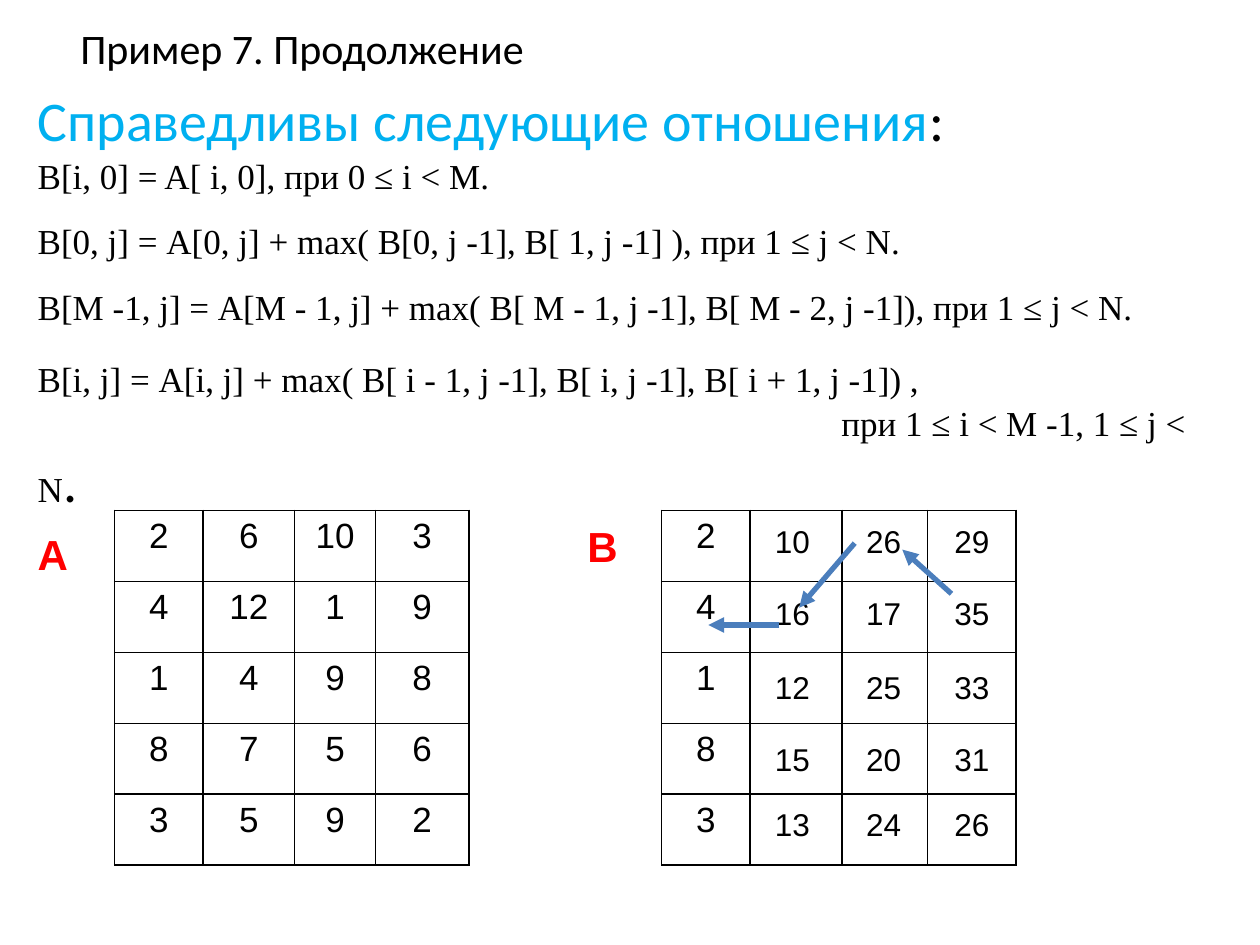
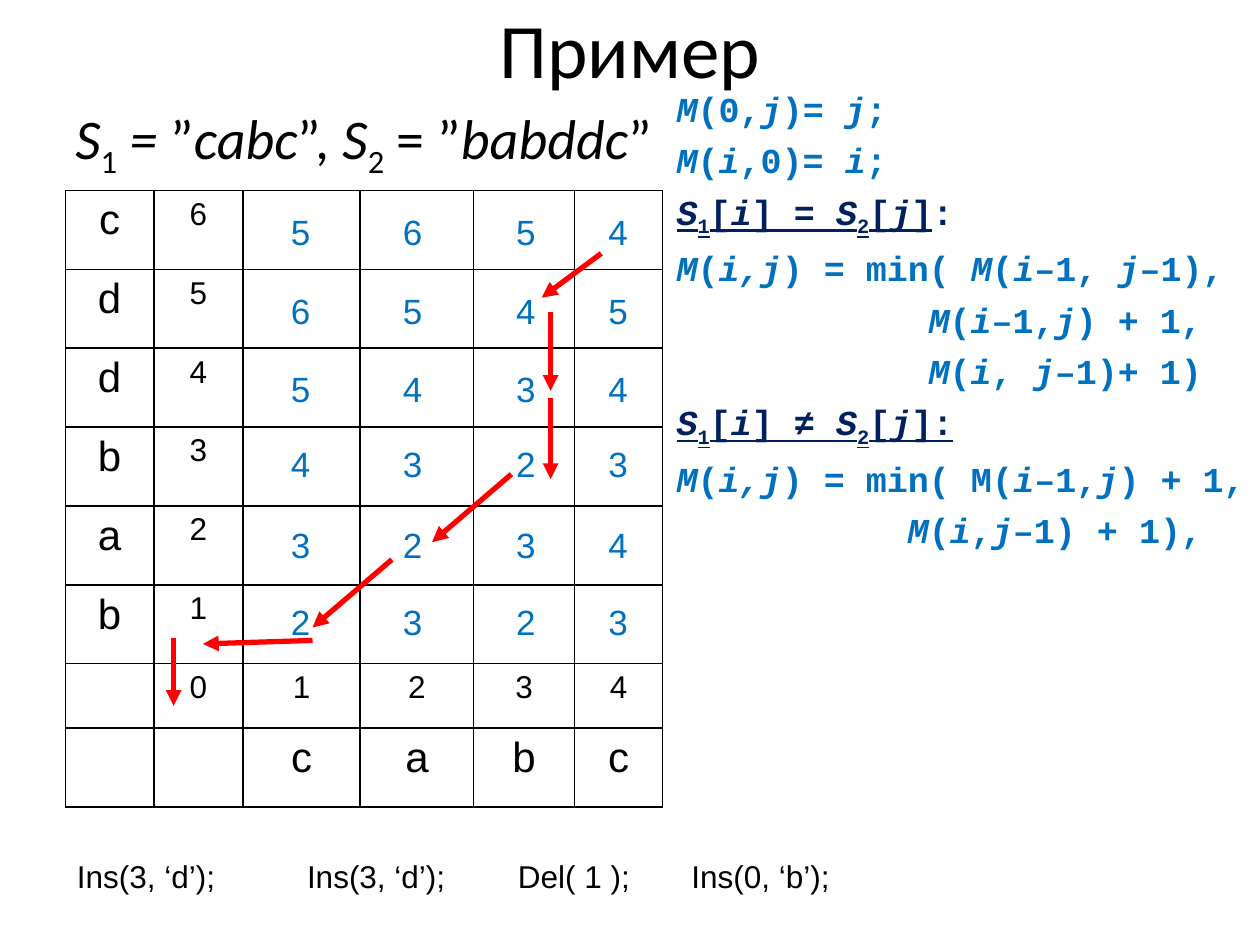
from itertools import groupby

from lxml.etree import SubElement
from pptx import Presentation
from pptx.dml.color import RGBColor
from pptx.enum.shapes import MSO_CONNECTOR
from pptx.enum.text import MSO_ANCHOR, PP_ALIGN
from pptx.oxml.ns import qn
from pptx.util import Cm, Pt

BLACK, RED, BLUE = "000000", "FF0000", "0070C0"
SKY, NAVY, STEEL = "00B0F0", "002060", "4B7EBC"
SANS, HEADING, SERIF, MONO = "Arial", "Calibri", "Times New Roman", "Courier New"
BODY_SPACING = 1.05

RELATIONS = [
    "B[i, 0] = A[ i, 0], при 0 ≤ i < M.",
    "B[0, j] = А[0, j] + max( B[0, j -1], B[ 1, j -1] ), при 1 ≤ j < N.",
    "B[M -1, j] = А[М - 1, j] + max( B[ М - 1, j -1], B[ М - 2, j -1]), при 1 ≤ j < N.",
]
GENERAL_RELATION = "B[i, j] = А[i, j] + max( B[ i - 1, j -1], B[ i, j -1], B[ i + 1, j -1]) ,"
GENERAL_RANGE = "при 1 ≤ i < M -1, 1 ≤ j < N"

MATRIX_A = ["2 6 10 3", "4 12 1 9", "1 4 9 8", "8 7 5 6", "3 5 9 2"]
MATRIX_B_START = "24183"
MATRIX_B = ["10 26 29", "16 17 35", "12 25 33", "15 20 31", "13 24 26"]
PATH_B = [
    (5.84, 1.68, 4.85, 0.79),
    (3.89, 0.66, 2.77, 1.96),
    (2.36, 2.31, 0.94, 2.31),
]

FORMULAS = [
    ("*M*(0,*j*)= *j*;", BLUE, 0),
    ("*M*(*i*,0)= *i*;", BLUE, 0),
    ("_*S*~1~[*i*] = *S*~2~[*j*]_:", NAVY, 0),
    ("*M*(*i,j*) = min( *M*(*i*–1, *j*–1),", BLUE, 0),
    ("*M*(*i*–1,*j*) + 1,", BLUE, 5.08),
    ("*M*(*i*, *j*–1)+ 1)", BLUE, 5.08),
    ("_*S*~1~[*i*] ≠ *S*~2~[*j*]:_", NAVY, 0),
    ("*M*(*i,j*) = min( M(*i*–1,*j*) + 1,", BLUE, 0),
    ("*M*(*i*,*j*–1) + 1),", BLUE, 4.66),
]
DISTANCES = ["5654", "6545", "5434", "4323", "3234", "2323"]
PATH_DISTANCE = [
    (10.8, 1.27, 9.6, 2.16),
    (9.78, 2.44, 9.78, 4.04),
    (9.78, 4.19, 9.78, 5.82),
    (8.99, 5.72, 7.39, 7.09),
    (6.58, 7.44, 4.98, 8.81),
    (4.98, 9.07, 2.77, 9.14),
    (2.18, 9.02, 2.18, 10.39),
]
EDITS = [
    (1.3, "Ins(3, ‘d’);"),
    (5.94, "Ins(3, ‘d’);"),
    (10.19, "Del( 1 );"),
    (13.69, "Ins(0, ‘b’);"),
]


def rgb(value):
    """Turn a hex string into a colour."""
    return RGBColor.from_string(value)


def write(p, text, font, size, color=BLACK, bold=False):
    """Add runs to a paragraph, where * ~ _ toggle italic, subscript, underline."""
    on = dict.fromkeys("*~_", False)
    for mark, chars in groupby(text, lambda c: c if c in on else ""):
        if mark:
            on[mark] = not on[mark]
            continue
        r = p.add_run()
        r.text = "".join(chars)
        r.font.name, r.font.size, r.font.bold = font, Pt(size), bold
        r.font.color.rgb = rgb(color)
        r.font.italic, r.font.underline = on["*"], on["_"]
        if on["~"]:
            r.font.element.set("baseline", "-25000") if hasattr(r.font, "element") else \
                r._r.get_or_add_rPr().set("baseline", "-25000")


def add_frame(s, x, y, w, h):
    """Add an empty wrapping text box and return its text frame."""
    tf = s.shapes.add_textbox(Cm(x), Cm(y), Cm(w), Cm(h)).text_frame
    tf.word_wrap = True
    return tf


def add_label(s, x, y, w, h, text, size, color=BLACK, bold=False, align=PP_ALIGN.LEFT):
    """Add a one-line Arial label."""
    p = add_frame(s, x, y, w, h).paragraphs[0]
    p.alignment = align
    write(p, text, SANS, size, color, bold)


def add_title(s, x, text, size, align):
    """Add the slide title in the shared band."""
    tf = add_frame(s, x, 0.33, 22.86, 1.27)
    tf.vertical_anchor = MSO_ANCHOR.MIDDLE
    tf.paragraphs[0].alignment = align
    write(tf.paragraphs[0], text, HEADING, size)


def add_body_paragraph(tf, before=0, after=0, margin=0, indent=0):
    """Add a paragraph with the shared line spacing and the given gaps."""
    p = tf.paragraphs[0] if not tf.paragraphs[0].runs else tf.add_paragraph()
    p.line_spacing = BODY_SPACING
    p.space_before, p.space_after = Pt(before), Pt(after)
    pPr = p._p.get_or_add_pPr()
    pPr.set("marL", str(Cm(margin)))
    pPr.set("indent", str(Cm(indent)))
    return p


def border_cell(cell):
    """Give a cell thin black borders and no fill."""
    tcPr = cell._tc.get_or_add_tcPr()
    for side in ("lnL", "lnR", "lnT", "lnB"):
        ln = SubElement(tcPr, qn(f"a:{side}"), w=str(Pt(1)))
        SubElement(SubElement(ln, qn("a:solidFill")), qn("a:srgbClr"), val=BLACK)
    cell.fill.background()


def add_grid(s, x, y, widths, heights, rows, size, letter_size=None):
    """Add a bordered table with centred entries."""
    tbl = s.shapes.add_table(len(heights), len(widths), Cm(x), Cm(y),
                             Cm(sum(widths)), Cm(sum(heights))).table
    tbl.first_row = tbl.horz_banding = False
    for col, width in zip(tbl.columns, widths):
        col.width = Cm(width)
    for row, height in zip(tbl.rows, heights):
        row.height = Cm(height)
    for cell in tbl.iter_cells():
        border_cell(cell)
    for i, row in enumerate(rows):
        for j, text in enumerate(row):
            if text:
                p = tbl.cell(i, j).text_frame.paragraphs[0]
                p.alignment = PP_ALIGN.CENTER
                write(p, text, SANS, letter_size if text.isalpha() else size)


def add_values(s, x, y, lefts, tops, rows, w, h, size, color, align):
    """Lay computed values over a table whose corner is at x, y."""
    for top, row in zip(tops, rows):
        for left, text in zip(lefts, row):
            add_label(s, x + left, y + top, w, h, text, size, color, align=align)


def add_path(s, x, y, steps, color):
    """Draw the arrows of a path relative to the corner x, y."""
    for x1, y1, x2, y2 in steps:
        sp = s.shapes.add_connector(MSO_CONNECTOR.STRAIGHT, Cm(x + x1), Cm(y + y1),
                                    Cm(x + x2), Cm(y + y2))
        sp.line.color.rgb = rgb(color)
        sp.line.width = Pt(3)
        spPr = sp.element.spPr
        SubElement(spPr.find(qn("a:ln")), qn("a:tailEnd"), type="triangle")
        SubElement(spPr, qn("a:effectLst"))


def add_relations(s, x, y, w, h):
    """Write the recurrence relations."""
    tf = add_frame(s, x, y, w, h)
    p = add_body_paragraph(tf, before=1.5)
    p.line_spacing = 1.0
    write(p, "Справедливы следующие отношения", HEADING, 32, SKY)
    write(p, ":", HEADING, 32)
    for text in RELATIONS:
        write(add_body_paragraph(tf, after=12), text, SERIF, 20)
    write(add_body_paragraph(tf, before=4), GENERAL_RELATION, SERIF, 20)
    p = add_body_paragraph(tf, indent=16.2)
    write(p, GENERAL_RANGE, SERIF, 20)
    write(p, ".", HEADING, 32)


def add_matrix_a(s, x, y):
    """Place the given matrix and its name."""
    add_grid(s, x, y, [1.78, 1.85, 1.63, 1.88], [1.43] * 5,
             [row.split() for row in MATRIX_A], 20)
    add_label(s, x - 1.8, y + 0.23, 1.19, 1.27, "A", 24, RED, bold=True)


def add_matrix_b(s, x, y):
    """Place the computed matrix, its name and the best path."""
    add_grid(s, x, y, [1.78, 1.85, 1.73, 1.78], [1.43] * 5, MATRIX_B_START, 20)
    add_label(s, x - 1.75, y + 0.08, 1.19, 1.27, "B", 24, RED, bold=True)
    add_values(s, x, y, [2.03, 3.87, 5.65], [0.1, 1.57, 3.05, 4.5, 5.82],
               [row.split() for row in MATRIX_B], 1.4, 1.02, 18, BLACK, PP_ALIGN.LEFT)
    add_path(s, x, y, PATH_B, STEEL)


def add_formulas(s, x, y, w, h):
    """Write the edit distance formulas."""
    tf = add_frame(s, x, y, w, h)
    for text, color, margin in FORMULAS:
        p = add_body_paragraph(tf, before=4, margin=margin)
        write(p, text, MONO, 20, color, bold=True)


def add_distances(s, x, y):
    """Place the distance table, its values and the path through it."""
    rows = [[letter, str(6 - i)] for i, letter in enumerate("cddbab")]
    rows += [["", *"01234"], ["", "", *"cabc"]]
    add_grid(s, x, y, [1.78, 1.8, 2.36, 2.29, 2.03, 1.78], [1.59] * 6 + [1.3, 1.59],
             rows, 18, 24)
    add_values(s, x, y, [3.84, 6.1, 8.38, 10.24], [0.28, 1.88, 3.45, 4.95, 6.58, 8.15],
               DISTANCES, 1.8, 1.12, 20, BLUE, PP_ALIGN.CENTER)
    add_path(s, x, y, PATH_DISTANCE, RED)


def build_matrix_slide(s):
    """Build the slide on the recurrence over a matrix."""
    add_title(s, 1.37, "Пример 7. Продолжение", 24, PP_ALIGN.LEFT)
    add_relations(s, 0.51, 1.6, 24, 7.92)
    add_matrix_a(s, 2.31, 10.29)
    add_matrix_b(s, 13.34, 10.29)


def build_distance_slide(s):
    """Build the slide on the edit distance of two strings."""
    add_title(s, 1.27, "Пример", 44, PP_ALIGN.CENTER)
    p = add_body_paragraph(add_frame(s, 1.27, 1.96, 22.86, 1.57), before=1.5)
    p.line_spacing = 1.0
    write(p, "*S*~1~* = *”*cabc*”, *S*~2~ = ”*babddc*”", HEADING, 32)
    add_formulas(s, 13.39, 1.6, 12.01, 9.32)
    add_distances(s, 1.32, 3.84)
    for x, text in EDITS:
        add_label(s, x, 17.15, 4, 1.02, text, 18)


def main():
    """Build and save the presentation."""
    prs = Presentation()
    prs.slide_width, prs.slide_height = Cm(25.4), Cm(19.05)
    for build in (build_matrix_slide, build_distance_slide):
        build(prs.slides.add_slide(prs.slide_layouts[6]))
    prs.save("out.pptx")


if __name__ == "__main__":
    main()
